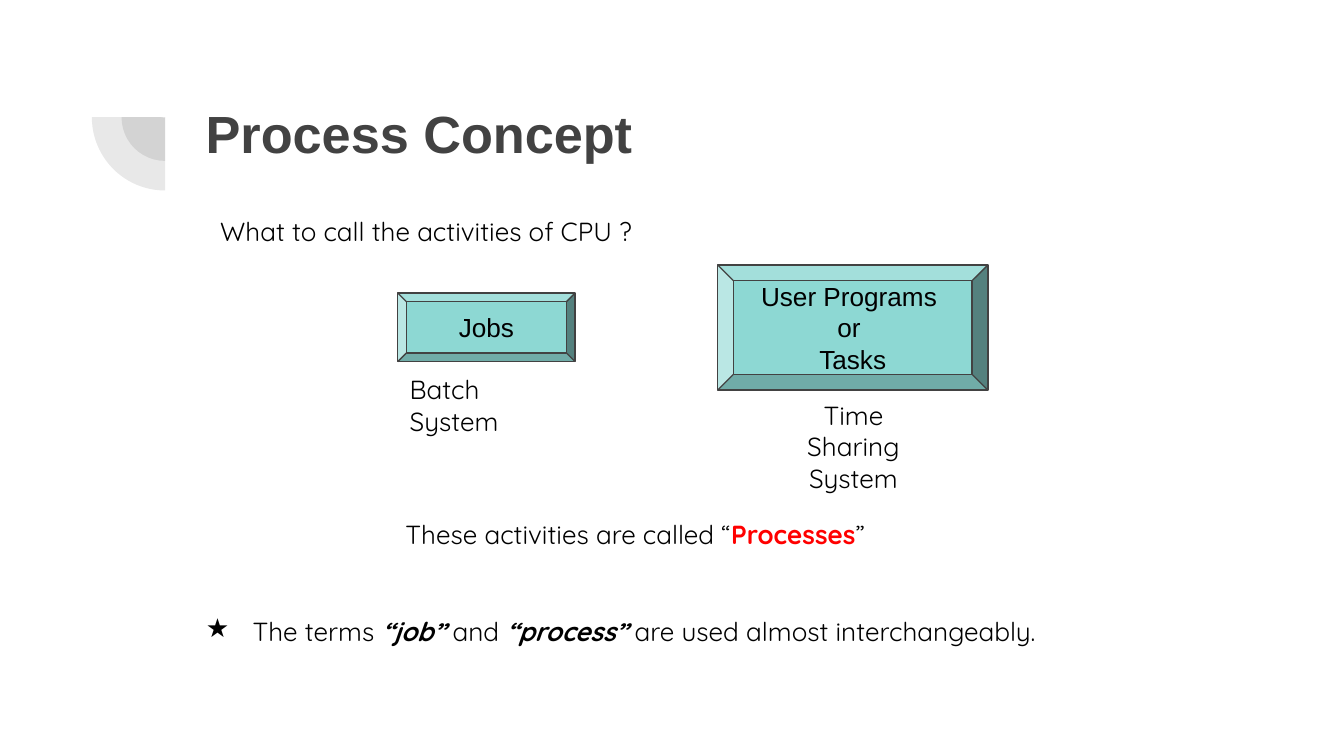
from lxml import etree
from pptx import Presentation
from pptx.dml.color import RGBColor
from pptx.enum import shapes, text
from pptx.oxml.ns import qn
from pptx.util import Pt

GREY = RGBColor(0x42, 0x42, 0x42)
TEAL = RGBColor(0x8D, 0xD8, 0xD3)
BLACK = RGBColor(0, 0, 0)
RED = RGBColor(0xFF, 0, 0)
LEFT, CENTER = text.PP_ALIGN.LEFT, text.PP_ALIGN.CENTER
TOP, MIDDLE = text.MSO_ANCHOR.TOP, text.MSO_ANCHOR.MIDDLE
INSET = Pt(7.2)


def write(sp, paragraphs, size=14, font="Quicksand", color=BLACK, align=LEFT, anchor=TOP, **fmt):
    """Fill sp with paragraphs; each is a list of (text, format overrides)."""
    tf = sp.text_frame
    tf.word_wrap = True
    tf.auto_size = text.MSO_AUTO_SIZE.NONE
    tf.vertical_anchor = anchor
    tf.margin_left = tf.margin_right = tf.margin_top = tf.margin_bottom = INSET
    for i, runs in enumerate(paragraphs):
        p = tf.paragraphs[0] if i == 0 else tf.add_paragraph()
        p.alignment = align
        for words, extra in runs:
            style = {"color": color, "bold": False, "italic": False, **fmt, **extra}
            r = p.add_run()
            r.text = words
            r.font.name, r.font.size = font, Pt(size)
            r.font.color.rgb = style["color"]
            r.font.bold, r.font.italic = style["bold"], style["italic"]


def add_text(s, x, y, w, h, runs, **fmt):
    sp = s.shapes.add_textbox(Pt(x), Pt(y), Pt(w), Pt(h))
    write(sp, [runs], **fmt)
    return sp


def add_corner_mark(s, cx, cy):
    """Two translucent quarter discs that share a centre."""
    for d in (46.8, 78.5):
        sp = s.shapes.add_shape(shapes.MSO_SHAPE.PIE, Pt(cx - d / 2), Pt(cy - d / 2), Pt(d), Pt(d))
        sp.adjustments[0], sp.adjustments[1] = 108, 162  # 180 to 270 degrees
        sp.rotation = 270
        sp.shadow.inherit = False
        sp.line.fill.background()
        sp.fill.solid()
        sp.fill.fore_color.rgb = GREY
        clr = sp.fill._xPr.find(qn("a:solidFill"))[0]
        etree.SubElement(clr, qn("a:alpha"), val="12000")


def add_title(s, x, y, w, h):
    sp = s.shapes.title
    sp.left, sp.top, sp.width, sp.height = Pt(x), Pt(y), Pt(w), Pt(h)
    write(sp, [[("Process Concept", {})]], size=28, font="Arial", color=GREY, bold=True)


def add_activity(s, x, y, w, h, lines, system, dx, dy, align):
    """A bevelled box with the kind of system named below it."""
    sp = s.shapes.add_shape(shapes.MSO_SHAPE.BEVEL, Pt(x), Pt(y), Pt(w), Pt(h))
    sp.adjustments[0] = 0.125
    sp.shadow.inherit = False
    sp.fill.solid()
    sp.fill.fore_color.rgb = TEAL
    sp.line.color.rgb = GREY
    sp.line.width = Pt(0.75)
    write(sp, [[(line, {})] for line in lines], font="Arial", align=CENTER, anchor=MIDDLE)
    add_text(s, x + dx, y + h + dy, 99.4, 33, [(system, {})], align=align)


def add_remark(s, x, y, w, h):
    strong = {"bold": True, "italic": True}
    sp = add_text(s, x, y, w, h, [
        ("The terms ", {}), ("“job” ", strong), ("and ", {}), ("“process”", strong),
        (" are used almost interchangeably.", {})])
    pPr = sp.text_frame.paragraphs[0]._p.get_or_add_pPr()
    pPr.set("marL", str(Pt(36)))
    pPr.set("indent", str(-Pt(25)))
    clr = etree.SubElement(pPr, qn("a:buClr"))
    etree.SubElement(clr, qn("a:srgbClr"), val=str(BLACK))
    etree.SubElement(pPr, qn("a:buChar"), char="★")


def main():
    prs = Presentation()
    prs.slide_width, prs.slide_height = Pt(720), Pt(405)
    s = prs.slides.add_slide(prs.slide_layouts[5])
    add_corner_mark(s, 88.5, 62.8)
    add_title(s, 103, 46.8, 553.7, 78.5)
    add_text(s, 110.9, 108, 335.5, 38.9, [("What to call the activities of CPU ?", {})])
    add_activity(s, 213.1, 157, 95, 36.7, ["Jobs"], "Batch System", -0.7, -0.7, LEFT)
    add_activity(s, 384.5, 142, 144.7, 67, ["User Programs ", "or ", "Tasks"],
                 "Time Sharing System", 23, -2.3, CENTER)
    add_text(s, 172.5, 270.7, 335.5, 38.9,
             [("These activities are called “", {}), ("Processes", {"color": RED, "bold": True}),
              ("”", {})], align=CENTER)
    add_remark(s, 92.2, 322.6, 490.3, 38.9)
    prs.save("out.pptx")


if __name__ == "__main__":
    main()
